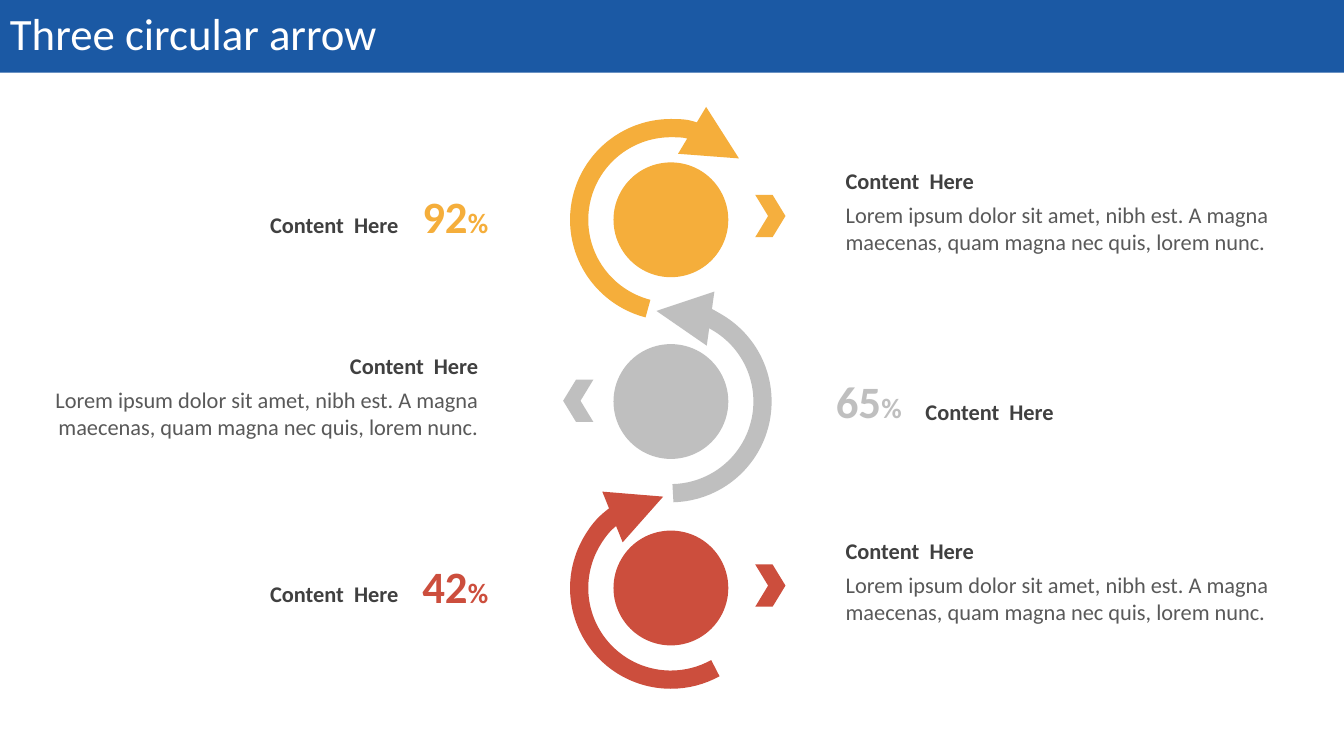
import dataclasses

import lxml.etree
import pptx
import pptx.dml.color
import pptx.enum.shapes
import pptx.enum.text
import pptx.oxml.ns
import pptx.util

Pt = pptx.util.Pt
Shape = pptx.enum.shapes.MSO_SHAPE
Align = pptx.enum.text.PP_ALIGN


@dataclasses.dataclass(frozen=True)
class Theme:
    font: str = "Calibri"
    banner: str = "1B59A4"
    white: str = "FFFFFF"
    heading: str = "404040"
    body: str = "595959"
    amber: str = "F5AE3B"
    silver: str = "BFBFBF"
    red: str = "CC4E3D"
    large: int = 32
    medium: int = 20
    small: int = 16


@dataclasses.dataclass(frozen=True)
class Box:
    left: float
    top: float
    width: float
    height: float

    def place(self):
        return Pt(self.left), Pt(self.top), Pt(self.width), Pt(self.height)


@dataclasses.dataclass(frozen=True)
class Step:
    color: str
    percent: str
    hub_middle: float
    arc_start: float
    arc_end: float
    mirrored: bool = False
    opacity: int = 100


THEME = Theme()
HEADING = "Content  Here"
BODY = "Lorem ipsum dolor sit amet, nibh est. A magna maecenas, quam magna nec quis, lorem nunc."
STEPS = [
    Step(THEME.amber, "92", 41, 104.44, 317.98, opacity=98),
    Step(THEME.silver, "65", 38.8, 91.32, 279.01, mirrored=True),
    Step(THEME.red, "42", 40, 60.96, 265.2),
]
ROW_TOP, ROW_PITCH, ROW_HEIGHT = 116, 132, 71
SLIDE_WIDTH, SLIDE_HEIGHT = 960, 540
PANEL_WIDTH, LEFT_PANEL, RIGHT_PANEL = 324, 24.7, 597
HUB_CENTER = 479.2


def rgb(color):
    return pptx.dml.color.RGBColor.from_string(color)


def add_span(para, text, size, color, bold=False):
    span = para.add_run()
    span.text = text
    span.font.name = THEME.font
    span.font.size = Pt(size)
    span.font.bold = bold
    span.font.color.rgb = rgb(color)


def add_text(shapes, box, align, middle=True, inset=True):
    frame = shapes.add_textbox(*box.place()).text_frame
    frame.word_wrap = True
    frame.auto_size = pptx.enum.text.MSO_AUTO_SIZE.SHAPE_TO_FIT_TEXT
    anchor = pptx.enum.text.MSO_ANCHOR
    frame.vertical_anchor = anchor.MIDDLE if middle else anchor.TOP
    if not inset:
        frame.margin_left = frame.margin_right = 0
        frame.margin_top = frame.margin_bottom = 0
    para = frame.paragraphs[0]
    para.alignment = align
    return para


def add_solid(shapes, kind, box, color):
    shape = shapes.add_shape(kind, *box.place())
    shape.shadow.inherit = False
    shape.fill.solid()
    shape.fill.fore_color.rgb = rgb(color)
    shape.line.fill.background()
    return shape


def flip(shape):
    shape._element.spPr.find(pptx.oxml.ns.qn("a:xfrm")).set("flipH", "1")


def add_banner(page, box):
    frame = add_solid(page.shapes, Shape.RECTANGLE, box, THEME.banner).text_frame
    frame.word_wrap = True
    frame.vertical_anchor = pptx.enum.text.MSO_ANCHOR.MIDDLE
    para = frame.paragraphs[0]
    para.alignment = Align.LEFT
    para.line_spacing = 0.9
    add_span(para, "Three circular arrow", THEME.large, THEME.white)


def add_description(page, box, align):
    heading = Box(box.left, box.top, box.width, 26.6)
    add_span(add_text(page.shapes, heading, align), HEADING, THEME.small, THEME.heading, True)
    body = Box(box.left, box.top + 24.4, box.width, 46)
    add_span(add_text(page.shapes, body, align, middle=False), BODY, THEME.small, THEME.body)


def add_score(page, box, step, align):
    shapes = page.shapes.add_group_shape().shapes
    number_width, label_width = 57, 168.5
    if step.mirrored:
        number_left, label_left, label_top = box.left, box.left + number_width, 33
    else:
        number_left = box.left + box.width - number_width
        label_left, label_top = number_left - label_width, 31
    number = Box(number_left, box.top + 18.7, number_width, 38.8)
    para = add_text(shapes, number, align, inset=False)
    add_span(para, step.percent, THEME.large, step.color, True)
    add_span(para, "%", THEME.medium, step.color, True)
    label = Box(label_left, box.top + label_top, label_width, 26.6)
    add_span(add_text(shapes, label, align), HEADING, THEME.small, THEME.heading, True)


def add_hub(page, box, step):
    def centered(size):
        return Box(HUB_CENTER - size / 2, box.top + step.hub_middle - size / 2, size, size)

    qn = pptx.oxml.ns.qn
    arc = page.shapes.add_shape(Shape.ARC, *centered(131).place())
    arc.shadow.inherit = False
    arc.fill.background()
    arc.adjustments[0] = step.arc_start * 0.6
    arc.adjustments[1] = step.arc_end * 0.6
    arc.line.color.rgb = rgb(step.color)
    arc.line.width = Pt(13)
    outline = arc._element.spPr.find(qn("a:ln"))
    lxml.etree.SubElement(outline, qn("a:tailEnd"), type="triangle")

    add_solid(page.shapes, Shape.OVAL, centered(82), step.color)

    chevron_left = 402.3 if step.mirrored else 539.5
    chevron_box = Box(chevron_left, box.top + 23.2, 21.6, 30.2)
    chevron = add_solid(page.shapes, Shape.CHEVRON, chevron_box, step.color)
    chevron.adjustments[0] = 0.426
    if step.opacity < 100:
        color = chevron._element.spPr.find(".//" + qn("a:srgbClr"))
        lxml.etree.SubElement(color, qn("a:alpha"), val=str(step.opacity * 1000))
    if step.mirrored:
        flip(arc)
        flip(chevron)


def add_step(page, box, step):
    left = Box(LEFT_PANEL, box.top, PANEL_WIDTH, box.height)
    right = Box(RIGHT_PANEL, box.top, PANEL_WIDTH, box.height)
    if step.mirrored:
        add_description(page, left, Align.RIGHT)
        add_score(page, right, step, Align.LEFT)
    else:
        add_description(page, right, Align.LEFT)
        add_score(page, left, step, Align.RIGHT)
    add_hub(page, box, step)


def main():
    deck = pptx.Presentation()
    deck.slide_width, deck.slide_height = Pt(SLIDE_WIDTH), Pt(SLIDE_HEIGHT)
    page = deck.slides.add_slide(deck.slide_layouts[6])
    add_banner(page, Box(0, 0, SLIDE_WIDTH, 52))
    for row, step in enumerate(STEPS):
        add_step(page, Box(0, ROW_TOP + row * ROW_PITCH, SLIDE_WIDTH, ROW_HEIGHT), step)
    deck.save("out.pptx")


if __name__ == "__main__":
    main()
